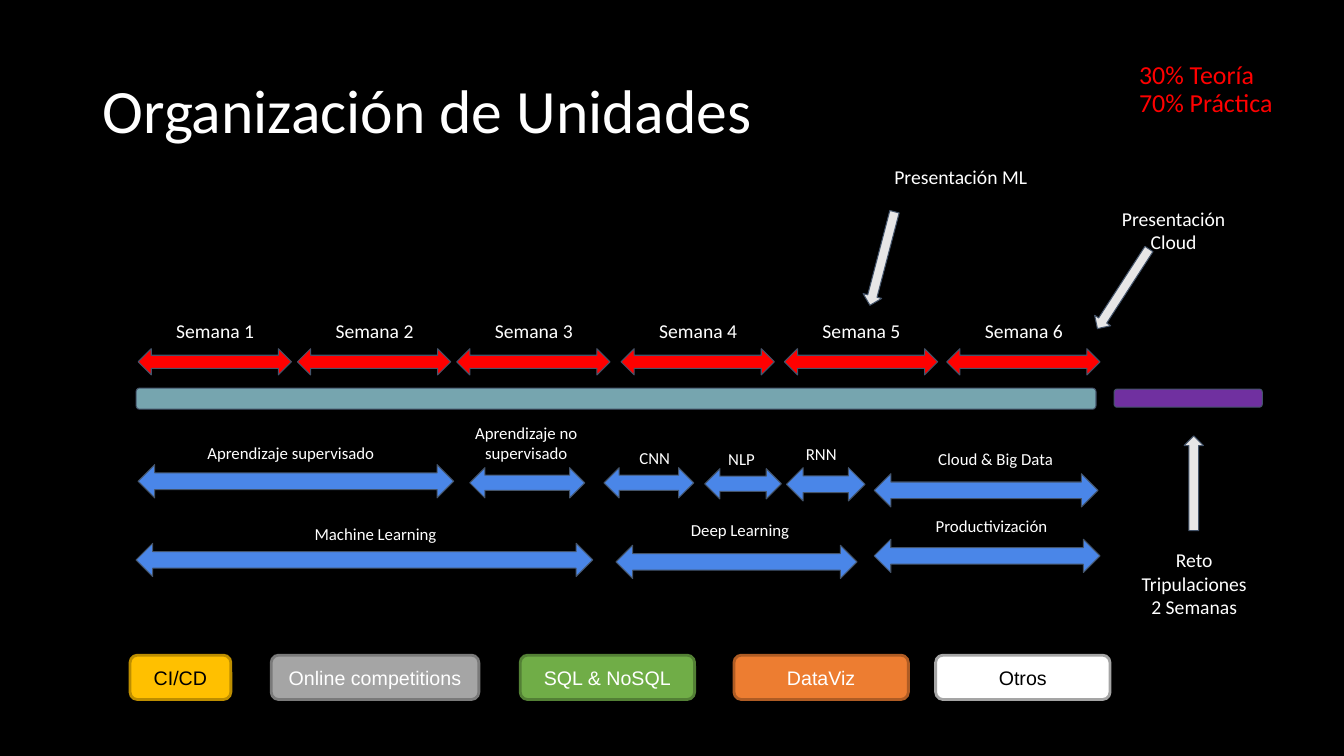
from pptx import Presentation
from pptx import util as u
from pptx.dml.color import RGBColor
from pptx.enum import shapes, text

WHITE, BLACK, RED = "FFFFFF", "000000", "FF0000"
BLUE, GRAY, SLATE = "4A86E8", "E7E6E6", "44546A"
KINDS = shapes.MSO_SHAPE
MID, TOP = text.MSO_ANCHOR.MIDDLE, text.MSO_ANCHOR.TOP
LEFT, CENTER = text.PP_ALIGN.LEFT, text.PP_ALIGN.CENTER


def paint(code):
    return RGBColor.from_string(code)


def write(frame, words, size=14, color=WHITE, font="Calibri", align=CENTER,
          anchor=TOP, pad=0.1, space=None):
    """Fill a text frame, one paragraph per line of words."""
    frame.word_wrap = True
    frame.vertical_anchor = anchor
    frame.margin_left = frame.margin_right = u.Inches(0.1)
    frame.margin_top = frame.margin_bottom = u.Inches(pad)
    for i, line in enumerate(words.split("\n")):
        para = frame.add_paragraph() if i else frame.paragraphs[0]
        para.alignment = align
        if space:
            para.line_spacing = space
        run = para.add_run()
        run.text = line
        run.font.size = u.Pt(size)
        run.font.name = font
        run.font.color.rgb = paint(color)


class Board:
    def __init__(self, deck):
        self.slide = deck.slides.add_slide(deck.slide_layouts[6])
        fill = self.slide.background.fill
        fill.solid()
        fill.fore_color.rgb = paint(BLACK)

    def label(self, words, box, **style):
        area = self.slide.shapes.add_textbox(*map(u.Inches, box))
        write(area.text_frame, words, **style)

    def shape(self, kind, box, fill, line=SLATE, width=0.75, turn=0):
        item = self.slide.shapes.add_shape(kind, *map(u.Inches, box))
        item.shadow.inherit = False
        item.fill.solid()
        item.fill.fore_color.rgb = paint(fill)
        item.line.color.rgb = paint(line)
        item.line.width = u.Pt(width)
        item.rotation = turn
        return item

    def span(self, box, fill):
        self.shape(KINDS.LEFT_RIGHT_ARROW, box, fill)

    def bar(self, box, fill):
        self.shape(KINDS.ROUNDED_RECTANGLE, box, fill)

    def pointer(self, box, turn):
        self.shape(KINDS.RIGHT_ARROW, box, GRAY, turn=turn)

    def button(self, words, left, width, fill, line, color):
        item = self.shape(KINDS.ROUNDED_RECTANGLE, (left, 6.5, width, 0.44),
                          fill, line, 2)
        write(item.text_frame, words, color=color, font="Arial",
              anchor=MID, pad=0.05)


def main():
    deck = Presentation()
    deck.slide_width, deck.slide_height = u.Inches(13.33), u.Inches(7.5)
    board = Board(deck)

    # Title and split of the course
    head = dict(align=LEFT, anchor=MID, pad=0.05, space=0.9)
    board.label("Organización de Unidades", (0.92, 0.4, 11.5, 1.45),
                size=44, **head)
    board.label("30% Teoría\n70% Práctica", (11.2, 0.48, 1.64, 0.82),
                size=18.5, color=RED, **head)

    # Time line
    board.bar((1.35, 3.85, 9.52, 0.21), "76A5AF")
    board.bar((11.05, 3.86, 1.47, 0.18), "7030A0")

    # Weeks
    for week, left in enumerate((1.37, 2.95, 4.53, 6.16, 7.78, 9.39), 1):
        board.span((left, 3.46, 1.52, 0.26), RED)
        board.label(f"Semana {week}", (left + 0.18, 3.06, 1.17, 0.39))

    # Topics: arrow box, then label and its box
    topics = [
        ((1.37, 4.61, 3.13, 0.33), "Aprendizaje supervisado", (1.2, 4.29, 3.37, 0.39)),
        ((4.66, 4.64, 1.14, 0.3), "Aprendizaje no supervisado", (4.54, 4.09, 1.36, 0.66)),
        ((5.99, 4.64, 0.89, 0.3), "CNN", (6.16, 4.34, 0.67, 0.39)),
        ((6.99, 4.65, 0.76, 0.3), "NLP", (7.02, 4.35, 0.67, 0.39)),
        ((7.8, 4.64, 0.78, 0.33), "RNN", (7.7, 4.3, 0.89, 0.55)),
        ((8.67, 4.7, 2.22, 0.33), "Cloud & Big Data", (8.51, 4.35, 2.73, 0.36)),
        ((1.35, 5.39, 4.53, 0.33), "Machine Learning", (2.98, 5.1, 1.49, 0.39)),
        ((6.11, 5.41, 2.39, 0.33), "Deep Learning", (6.68, 5.06, 1.32, 0.39)),
        ((8.67, 5.35, 2.24, 0.33), "Productivización", (8.47, 5.02, 2.73, 0.36)),
    ]
    for arrow, words, box in topics:
        board.span(arrow, BLUE)
        board.label(words, box, size=12)

    # Milestones: arrow box and turn, then label and its box
    goals = [
        ((8.27, 2.47, 0.96, 0.19), 104.7, "Presentación ML", (8.41, 1.54, 2.24, 0.39)),
        ((10.67, 2.77, 0.94, 0.19), 122.9, "Presentación Cloud", (10.82, 1.95, 1.64, 0.39)),
        ((11.37, 4.7, 0.94, 0.19), 270, "Reto Tripulaciones\n2 Semanas", (11.08, 5.34, 1.53, 0.86)),
    ]
    for arrow, turn, words, box in goals:
        board.pointer(arrow, turn)
        board.label(words, box)

    # Extra subjects
    extras = [
        ("CI/CD", 1.29, 1, "FFC000", "BD8E00", BLACK),
        ("Online competitions", 2.69, 2.06, "A5A5A5", "7A7A7A", WHITE),
        ("SQL & NoSQL", 5.16, 1.73, "70AD47", "538035", WHITE),
        ("DataViz", 7.28, 1.73, "ED7D31", "AF5C24", WHITE),
        ("Otros", 9.28, 1.73, WHITE, "A5A5A5", BLACK),
    ]
    for extra in extras:
        board.button(*extra)

    deck.save("out.pptx")


if __name__ == "__main__":
    main()
